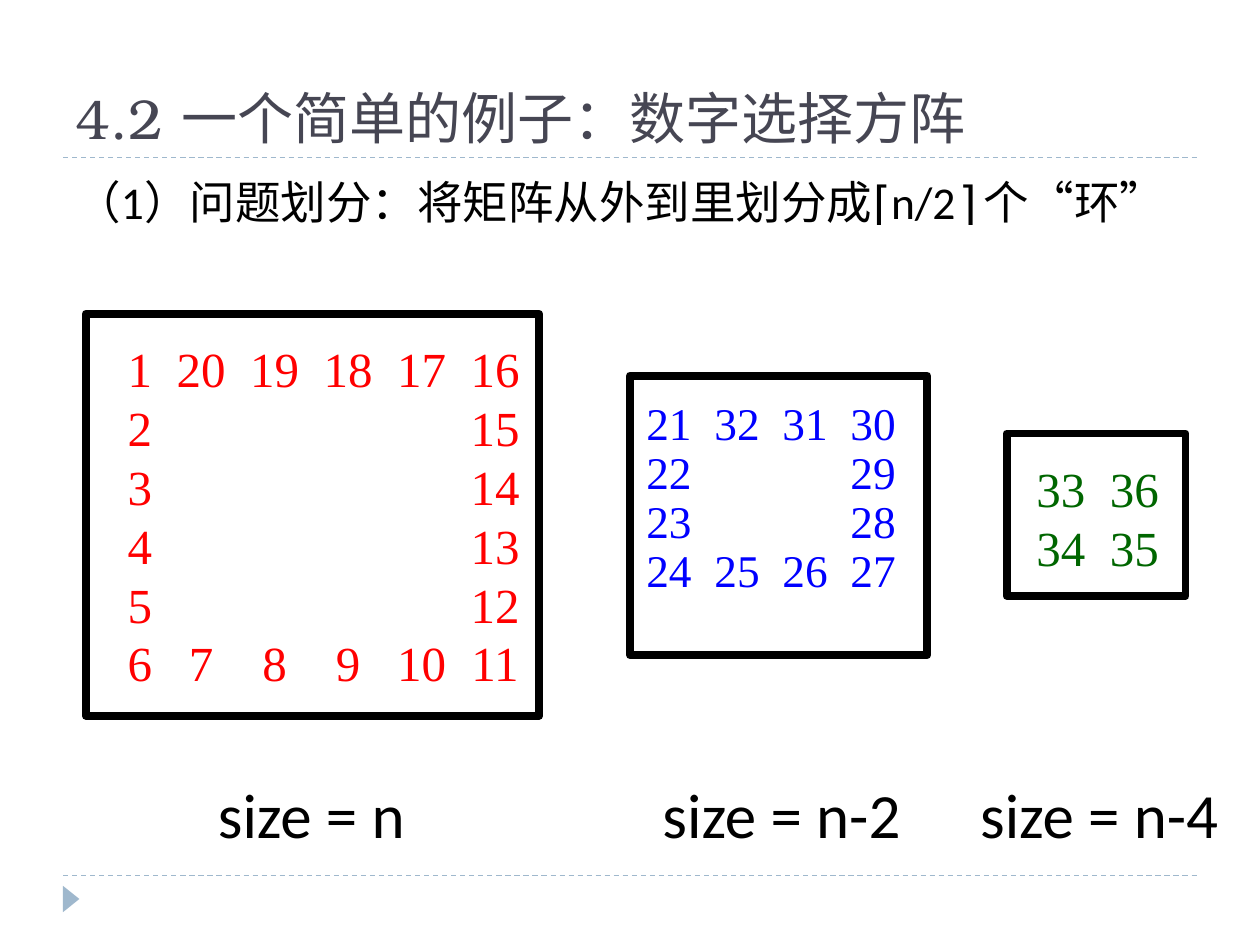
from pptx import Presentation
from pptx.dml.color import RGBColor
from pptx.enum.dml import MSO_LINE
from pptx.enum.shapes import MSO_CONNECTOR, MSO_SHAPE
from pptx.enum.text import MSO_ANCHOR, MSO_AUTO_SIZE, PP_ALIGN
from pptx.oxml.ns import qn
from pptx.util import Pt
from lxml import etree

DASH = MSO_LINE.DASH
STRAIGHT = MSO_CONNECTOR.STRAIGHT
RECTANGLE, TRIANGLE = MSO_SHAPE.RECTANGLE, MSO_SHAPE.ISOSCELES_TRIANGLE
TOP, BOTTOM = MSO_ANCHOR.TOP, MSO_ANCHOR.BOTTOM
NO_FIT, GROW = MSO_AUTO_SIZE.NONE, MSO_AUTO_SIZE.SHAPE_TO_FIT_TEXT
LEFT, JUSTIFY = PP_ALIGN.LEFT, PP_ALIGN.JUSTIFY

ACCENT = "9FB8CD"
BODY_FONT, BRACKET_FONT = "Calibri", "DejaVu Sans Mono"
NUMBER_FONT = "Times New Roman"


def color(hex_code):
    return RGBColor.from_string(hex_code)


def set_all(target, **values):
    for name, value in values.items():
        setattr(target, name, value)


def add_run(paragraph, text, font_name, size, hex_code):
    run = paragraph.add_run()
    run.text = text
    set_all(run.font, name=font_name, size=Pt(size))
    run.font.color.rgb = color(hex_code)


def add_frame_marks(slide, left, right, rules):
    """Dashed rules at the given heights, with a small pointer under the last."""
    for y in rules:
        rule = slide.shapes.add_connector(
            STRAIGHT, Pt(left), Pt(y), Pt(right), Pt(y))
        rule.line.color.rgb = color(ACCENT)
        set_all(rule.line, width=Pt(0.75), dash_style=DASH)
        etree.SubElement(rule._element.spPr, qn("a:effectLst"))
    pointer = slide.shapes.add_shape(
        TRIANGLE, Pt(left - 2.9), Pt(rules[-1] + 8.6), Pt(15.1), Pt(9.4))
    pointer.rotation = 90
    pointer.shadow.inherit = False
    pointer.fill.solid()
    pointer.fill.fore_color.rgb = color(ACCENT)
    pointer.line.fill.background()


def add_title(slide, left, top, width, height, text):
    title = slide.shapes.title
    set_all(title, left=Pt(left), top=Pt(top), width=Pt(width), height=Pt(height))
    set_all(title.text_frame, vertical_anchor=BOTTOM, auto_size=NO_FIT,
            word_wrap=True)
    paragraph = title.text_frame.paragraphs[0]
    paragraph.alignment = LEFT
    add_run(paragraph, text, "TeX Gyre Bonum", 32, "464653")


def add_statement(slide, left, top, width, height, parts):
    box = slide.shapes.add_textbox(Pt(left), Pt(top), Pt(width), Pt(height))
    box.text_frame.word_wrap = True
    for text, font_name in parts:
        add_run(box.text_frame.paragraphs[0], text, font_name, 26, "000000")


def ring_rows(side, first):
    """Rows of a square ring, numbered down the left side and anticlockwise."""
    last = side - 1
    cells = ([(i, 0) for i in range(last)]
             + [(last, i) for i in range(last)]
             + [(last - i, last) for i in range(last)]
             + [(0, last - i) for i in range(last)])
    rows = [[""] * side for _ in range(side)]
    for number, (row, column) in enumerate(cells, first):
        rows[row][column] = str(number)
    return rows


def add_tab_stops(paragraph, centers):
    tab_list = etree.SubElement(paragraph._p.get_or_add_pPr(), qn("a:tabLst"))
    for center in centers:
        etree.SubElement(tab_list, qn("a:tab"), pos=str(Pt(center)), algn="ctr")


def add_ring(slide, left, top, width, height, rows, centers, size, pitch, hex_code):
    ring = slide.shapes.add_shape(
        RECTANGLE, Pt(left), Pt(top), Pt(width), Pt(height))
    ring.shadow.inherit = False
    ring.fill.solid()
    ring.fill.fore_color.rgb = color("FFFFFF")
    ring.line.color.rgb = color("000000")
    ring.line.width = Pt(4.5)
    frame = ring.text_frame
    set_all(frame, vertical_anchor=TOP, word_wrap=True, margin_left=Pt(2.9),
            margin_top=Pt(14.4), margin_right=Pt(2.9), margin_bottom=Pt(2.9))
    for index, row in enumerate(rows):
        paragraph = frame.add_paragraph() if index else frame.paragraphs[0]
        set_all(paragraph, alignment=JUSTIFY, line_spacing=Pt(pitch))
        add_tab_stops(paragraph, centers)
        add_run(paragraph, "".join("\t" + cell for cell in row),
                NUMBER_FONT, size, hex_code)


def add_size_label(slide, left, top, width, height, text):
    label = slide.shapes.add_textbox(Pt(left), Pt(top), Pt(width), Pt(height))
    set_all(label.text_frame, word_wrap=False, auto_size=GROW)
    add_run(label.text_frame.paragraphs[0], text, BODY_FONT, 36, "000000")


def main():
    deck = Presentation()
    set_all(deck, slide_width=Pt(720), slide_height=Pt(540))
    slide = deck.slides.add_slide(deck.slide_layouts[5])

    add_frame_marks(slide, 36, 684, [90, 500.4])
    add_title(slide, 36, 12.2, 648, 77.8, "4.2 一个简单的例子：数字选择方阵")
    add_statement(slide, 36, 95.8, 648, 388.8, [
        ("（1）问题划分：将矩阵从外到里划分成", BODY_FONT),
        ("⌈", BRACKET_FONT), ("n/2", BODY_FONT), ("⌉", BRACKET_FONT),
        ("个“环”", BODY_FONT)])

    # box, side, first number, centres of the first two columns,
    # text size, line pitch, colour
    rings = [
        ((49, 179.3, 259.2, 229.7), 6, 1, (28, 63), 28, 33.6, "FF0000"),
        ((360, 214.6, 169.9, 159.8), 4, 21, (19.4, 58.3), 25.9, 28, "0000FF"),
        ((575.3, 247.7, 102.2, 92.9), 2, 33, (28, 70), 28, 33.6, "006600"),
    ]
    for box, side, first, (start, second), size, pitch, hex_code in rings:
        column_step = 1.5 * size
        centers = [start] + [second + column_step * i for i in range(side - 1)]
        add_ring(slide, *box, ring_rows(side, first), centers, size, pitch, hex_code)

    for left, width, text in [(117.4, 121.7, "size = n"),
                              (371.5, 151.2, "size = n-2"),
                              (553, 151.2, "size = n-4")]:
        add_size_label(slide, left, 439.9, width, 50.4, text)

    deck.save("out.pptx")


if __name__ == "__main__":
    main()
